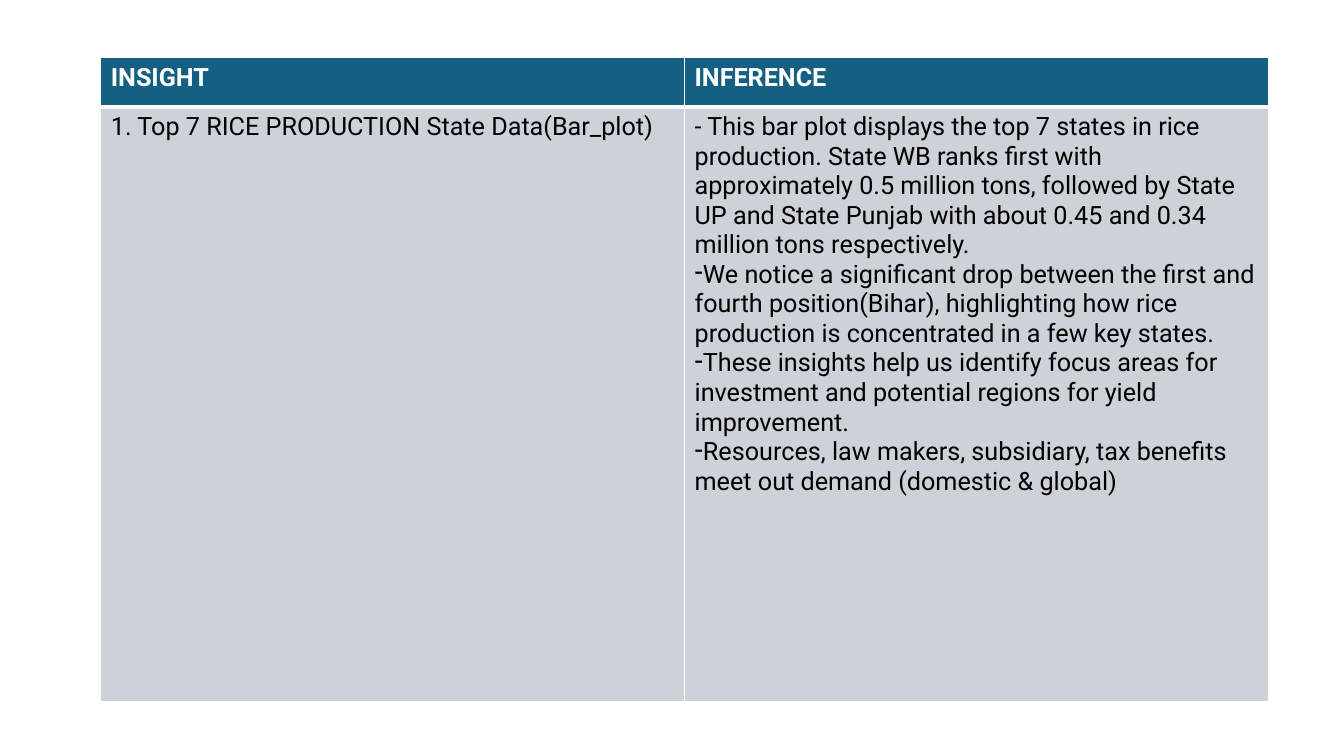
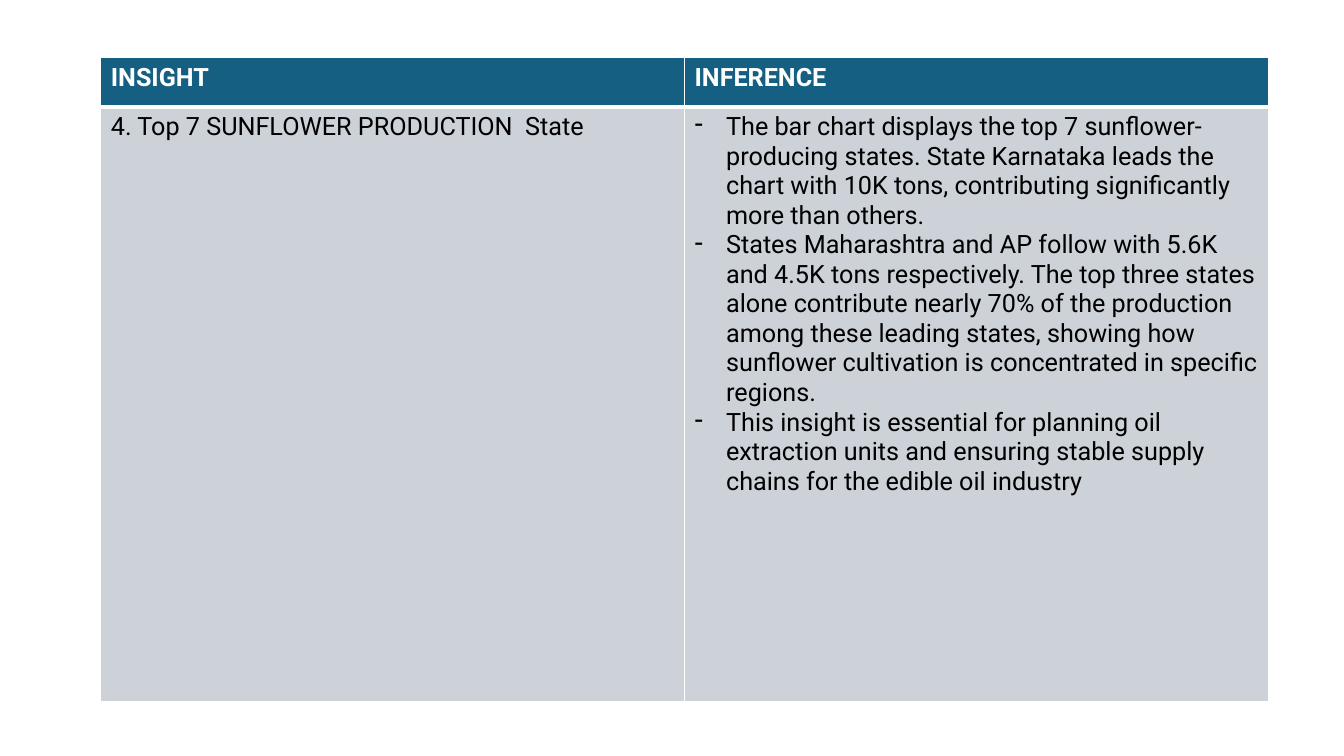
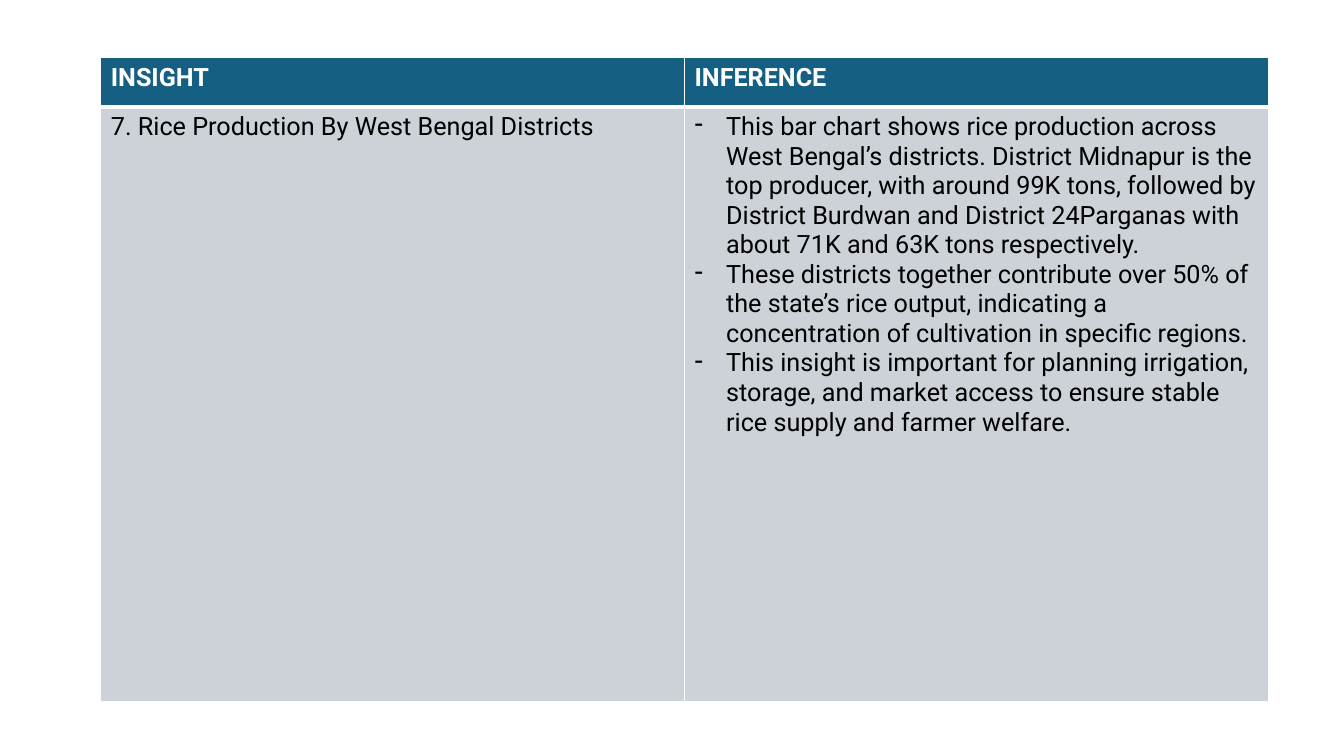
import pptx
import pptx.dml.color
import pptx.oxml
import pptx.oxml.ns
import pptx.util

PX = 9525
WHITE = pptx.dml.color.RGBColor(0xFF, 0xFF, 0xFF)
BLACK = pptx.dml.color.RGBColor(0x00, 0x00, 0x00)
TEAL = pptx.dml.color.RGBColor(0x15, 0x60, 0x82)
GREY = pptx.dml.color.RGBColor(0xCC, 0xD2, 0xD8)

SLIDE_SIZE = (1280, 720)
TABLE_ORIGIN = (96, 55)
COLUMN_WIDTH = 556
ROW_HEIGHTS = (47, 566)
BULLET_INDENT = 30
HEADINGS = ("INSIGHT", "INFERENCE")

HEADER_FONT = {"name": "Roboto", "size": pptx.util.Pt(18), "bold": True}
BODY_FONT = {**HEADER_FONT, "bold": False}
HEADER_STYLE = {"font": HEADER_FONT, "ink": WHITE, "fill": TEAL,
                "borders": {"L": 1, "R": 1, "T": 1, "B": 3}}
BODY_STYLE = {"font": BODY_FONT, "ink": BLACK, "fill": GREY,
              "borders": {"L": 1, "R": 1, "T": 3, "B": 1}}

FINDINGS = [
    {
        "insight": "1. Top 7 RICE PRODUCTION State Data(Bar_plot)",
        "lead": ["- This bar plot displays the top 7 states in rice production. State WB ranks first with "
                 "approximately 0.5 million tons, followed by State UP and State Punjab with about 0.45 "
                 "and 0.34 million tons respectively."],
        "bullets": [
            "We notice a significant drop between the first and fourth position(Bihar), highlighting how "
            "rice production is concentrated in a few key states.",
            "These insights help us identify focus areas for investment and potential regions for yield "
            "improvement.",
            "Resources, law makers, subsidiary, tax benefits meet out demand (domestic & global)",
        ],
        "margin": 0,
    },
    {
        "insight": "4. Top 7 SUNFLOWER PRODUCTION  State",
        "lead": [],
        "bullets": [
            "The bar chart displays the top 7 sunflower-producing states. State Karnataka leads the chart "
            "with 10K tons, contributing significantly more than others.",
            "States Maharashtra and AP follow with 5.6K and 4.5K tons respectively. The top three states "
            "alone contribute nearly 70% of the production among these leading states, showing how "
            "sunflower cultivation is concentrated in specific regions.",
            "This insight is essential for planning oil extraction units and ensuring stable supply chains "
            "for the edible oil industry",
        ],
        "margin": BULLET_INDENT,
    },
    {
        "insight": "7. Rice Production By West Bengal Districts",
        "lead": [],
        "bullets": [
            "This bar chart shows rice production across West Bengal’s districts. District Midnapur is the "
            "top producer, with around 99K tons, followed by District Burdwan and District 24Parganas with "
            "about 71K and 63K tons respectively.",
            "These districts together contribute over 50% of the state’s rice output, indicating a "
            "concentration of cultivation in specific regions.",
            "This insight is important for planning irrigation, storage, and market access to ensure stable "
            "rice supply and farmer welfare.",
        ],
        "margin": BULLET_INDENT,
    },
]


def px(length):
    return pptx.util.Emu(length * PX)


def set_borders(cell, widths):
    properties = cell._tc.get_or_add_tcPr()
    for side, points in widths.items():
        properties.append(pptx.oxml.parse_xml(
            f'<a:ln{side} {pptx.oxml.ns.nsdecls("a")} w="{pptx.util.Pt(points)}">'
            f'<a:solidFill><a:srgbClr val="{WHITE}"/></a:solidFill></a:ln{side}>'))


def add_dash(paragraph, margin):
    properties = paragraph._p.get_or_add_pPr()
    properties.set("marL", str(px(margin)))
    properties.set("indent", str(px(-BULLET_INDENT)))
    properties.append(pptx.oxml.parse_xml(
        f'<a:buChar {pptx.oxml.ns.nsdecls("a")} char="-"/>'))


def fill_cell(cell, texts, style):
    set_borders(cell, style["borders"])
    cell.fill.solid()
    cell.fill.fore_color.rgb = style["fill"]
    cell.text = "\n".join(texts)
    for paragraph in cell.text_frame.paragraphs:
        for run in paragraph.runs:
            for attribute, value in style["font"].items():
                setattr(run.font, attribute, value)
            run.font.color.rgb = style["ink"]


def add_finding(deck, finding):
    slide = deck.slides.add_slide(deck.slide_layouts[6])
    findings_table = slide.shapes.add_table(
        len(ROW_HEIGHTS), len(HEADINGS), *map(px, TABLE_ORIGIN),
        px(COLUMN_WIDTH * len(HEADINGS)), px(sum(ROW_HEIGHTS))).table
    findings_table.horz_banding = False
    for row, height in zip(findings_table.rows, ROW_HEIGHTS):
        row.height = px(height)
    for column, heading in enumerate(HEADINGS):
        findings_table.columns[column].width = px(COLUMN_WIDTH)
        fill_cell(findings_table.cell(0, column), [heading], HEADER_STYLE)
    fill_cell(findings_table.cell(1, 0), [finding["insight"]], BODY_STYLE)
    inference = findings_table.cell(1, 1)
    fill_cell(inference, finding["lead"] + finding["bullets"], BODY_STYLE)
    for paragraph in inference.text_frame.paragraphs[len(finding["lead"]):]:
        add_dash(paragraph, finding["margin"])


def main():
    deck = pptx.Presentation()
    deck.slide_width, deck.slide_height = map(px, SLIDE_SIZE)
    for finding in FINDINGS:
        add_finding(deck, finding)
    deck.save("out.pptx")


if __name__ == "__main__":
    main()
